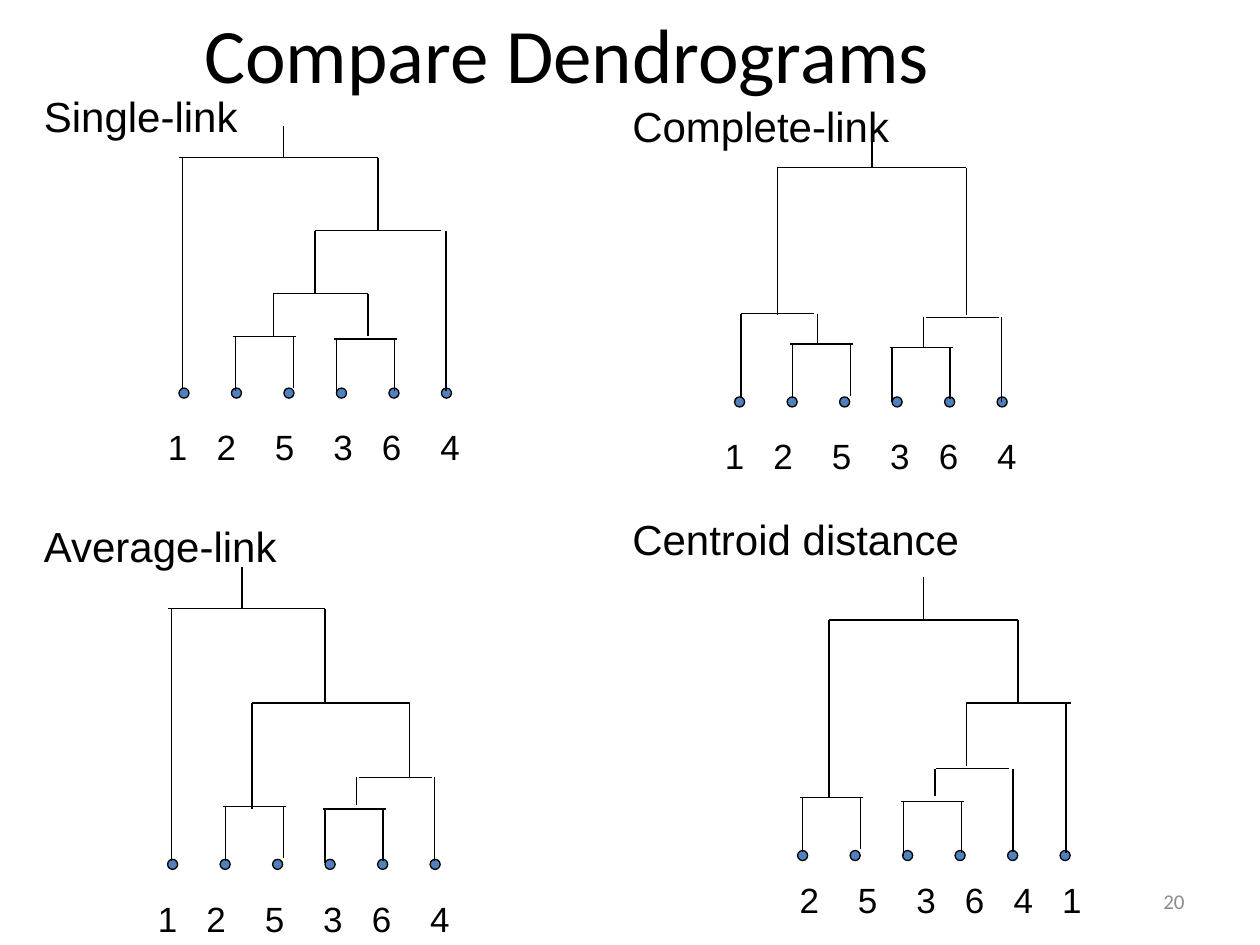
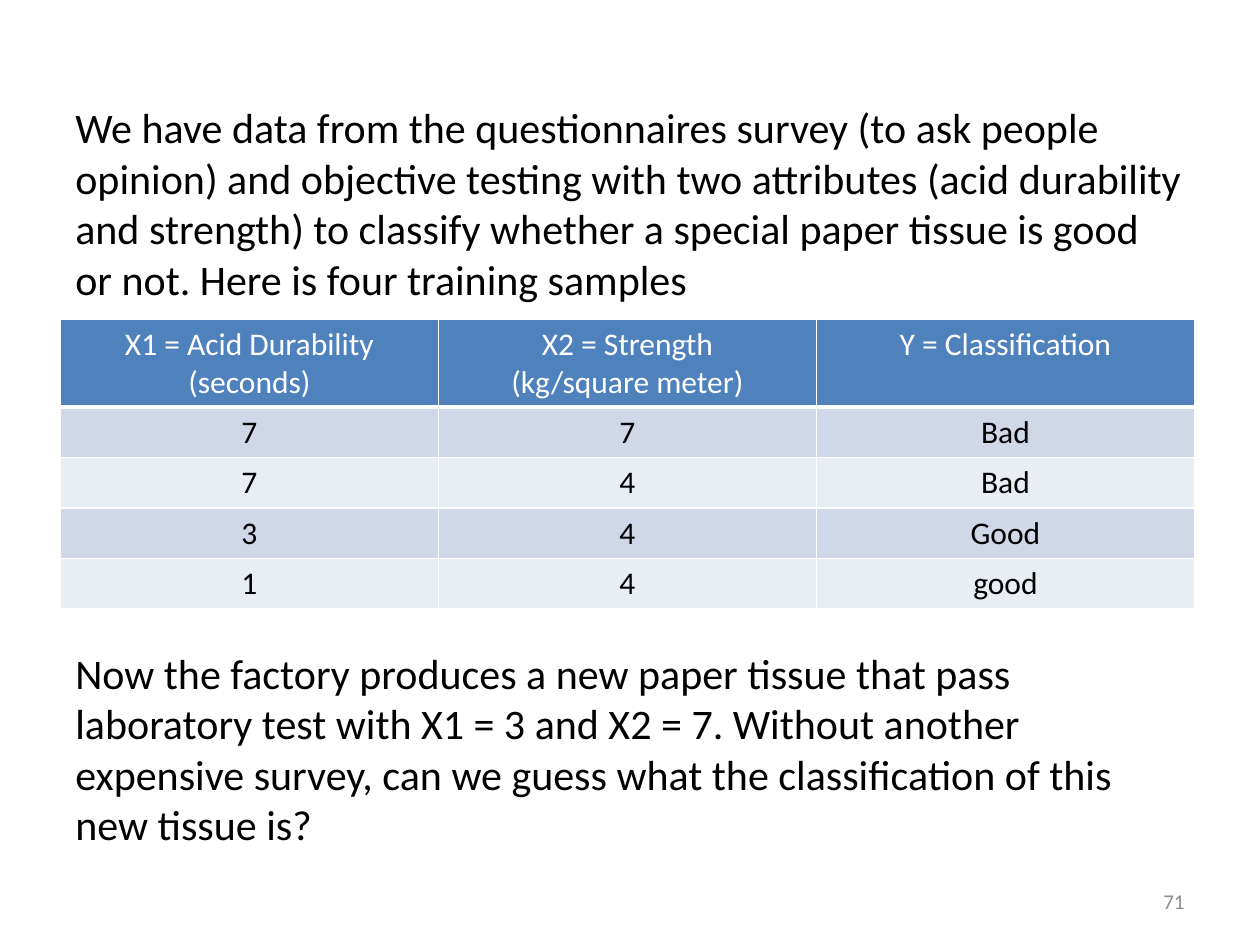
from typing import NamedTuple

from lxml.etree import SubElement
from pptx import Presentation
from pptx.dml.color import RGBColor
from pptx.enum.shapes import MSO_CONNECTOR, MSO_SHAPE
from pptx.enum.text import MSO_ANCHOR, PP_ALIGN
from pptx.oxml.ns import qn
from pptx.util import Inches, Pt

BLACK, WHITE, GREY, BLUE = "000000", "FFFFFF", "8C8C8C", "4F81BD"
BAND_FILLS = ("D0D8E8", "E9EDF4")
LEAF_SIZE, LEAF_STEP = 0.08, 5 / 12
LABEL_UNIT = Pt(5.56)  # width of a 20 pt Arial space


class Merge(NamedTuple):
    """A bar joining two legs; the bar may end beside its legs."""
    bar_y: float
    left: float
    left_foot: float
    right: float
    right_foot: float
    bar_start: float
    bar_end: float


class Dendrogram(NamedTuple):
    heading: str
    heading_at: tuple
    leaves_at: tuple
    labels: str
    labels_at: tuple
    label_columns: tuple
    stem: tuple
    merges: tuple


def pair(left, bar_y):
    """Join two neighbouring leaves."""
    return Merge(bar_y, left, bar_y + 0.43, left + 0.46, bar_y + 0.41, left - 0.02, left + 0.48)


def join(bar_y, left, left_foot, right, right_foot, bar_start=None, bar_end=None):
    return Merge(bar_y, left, left_foot, right, right_foot, bar_start or left, bar_end or right)


LEAF_ORDER = "125364"
LEAF_COLUMNS = (2, 7, 13, 19, 24, 30)
DENDROGRAMS = (
    Dendrogram("Single-link", (0.25, 0.67), (1.42, 3.08),
               LEAF_ORDER, (1.08, 3.33), LEAF_COLUMNS, (2.25, 1),
               (pair(1.87, 2.67), pair(2.67, 2.69),
                join(2.33, 2.17, 2.67, 2.92, 2.67),
                join(1.83, 2.5, 2.33, 3.54, 3.1, bar_end=3.5),
                join(1.25, 1.45, 3.08, 3, 1.83, bar_start=1.42))),
    Dendrogram("Complete-link", (4.92, 0.75), (5.83, 3.15),
               LEAF_ORDER, (5.5, 3.4), LEAF_COLUMNS, (6.92, 0.92),
               (pair(6.29, 2.73), pair(7.08, 2.76),
                join(2.49, 5.88, 3.15, 6.49, 2.74, bar_end=6.46),
                join(2.52, 7.33, 2.75, 7.95, 3.19, 7.35, 7.93),
                join(1.33, 6.17, 2.5, 7.67, 2.5))),
    Dendrogram("Average-link", (0.25, 4.08), (1.33, 6.82),
               LEAF_ORDER, (1, 7.07), LEAF_COLUMNS, (1.92, 4.5),
               (pair(1.79, 6.4), pair(2.58, 6.42),
                join(6.17, 2.83, 6.39, 3.45, 6.83, 2.85, 3.43),
                join(5.58, 2, 6.42, 3.25, 6.17),
                join(4.83, 1.36, 6.83, 2.58, 5.58, bar_start=1.33))),
    Dendrogram("Centroid distance", (4.92, 4.03), (6.33, 6.75),
               "253641", (6.17, 6.92), (1, 7, 13, 18, 23, 28), (7.33, 4.58),
               (pair(6.37, 6.33), pair(7.17, 6.36),
                join(6.1, 7.42, 6.32, 8.04, 6.76, 7.43, 8.01),
                join(5.58, 7.67, 6.08, 8.46, 6.77, bar_end=8.5),
                join(4.92, 6.58, 6.33, 8.08, 5.58))),
)

SAMPLES = (
    ("X1 = Acid Durability (seconds)", "X2 = Strength\n(kg/square meter)", "Y = Classification"),
    ("7", "7", "Bad"),
    ("7", "4", "Bad"),
    ("3", "4", "Good"),
    ("1", "4", "good"),
)
SURVEY = ("We have data from the questionnaires survey (to ask people opinion) and objective "
          "testing with two attributes (acid durability and strength) to classify whether a "
          "special paper tissue is good or not. Here is four training samples")
QUESTION = ("Now the factory produces a new paper tissue that pass laboratory test with X1 = 3 "
            "and X2 = 7. Without another expensive survey, can we guess what the classification "
            "of this new tissue is?")


def color(hex_string):
    return RGBColor.from_string(hex_string)


def write(frame, text, size=24, font="Calibri", ink=BLACK, align=PP_ALIGN.LEFT,
          anchor=MSO_ANCHOR.TOP, tabs=()):
    frame.word_wrap = True
    frame.vertical_anchor = anchor
    frame.text = text
    for paragraph in frame.paragraphs:
        paragraph.alignment = align
        for run in paragraph.runs:
            run.font.size, run.font.name, run.font.bold = Pt(size), font, False
            run.font.color.rgb = color(ink)
        if tabs:
            stops = SubElement(paragraph._p.get_or_add_pPr(), qn("a:tabLst"))
            for position in tabs:
                SubElement(stops, qn("a:tab"), pos=str(int(position)), algn="l")


def border(cell, **widths):
    """Draw white cell edges; keys are L, R, T, B and widths are in points."""
    properties = cell._tc.get_or_add_tcPr()
    for index, (side, width) in enumerate(widths.items()):
        edge = properties.makeelement(qn(f"a:ln{side}"), {"w": str(Pt(width))})
        SubElement(SubElement(edge, qn("a:solidFill")), qn("a:srgbClr"), val=WHITE)
        properties.insert(index, edge)


class Deck:
    def __init__(self):
        self.presentation = Presentation()
        self.presentation.slide_width, self.presentation.slide_height = Inches(10), Inches(7.5)
        self.slide = None

    def new_slide(self, number):
        self.slide = self.presentation.slides.add_slide(self.presentation.slide_layouts[6])
        self.text(str(number), 7.17, 6.95, 2.33, 0.4, size=12, ink=GREY,
                  align=PP_ALIGN.RIGHT, anchor=MSO_ANCHOR.MIDDLE)

    def text(self, text, left, top, width, height, **style):
        box = self.slide.shapes.add_textbox(*map(Inches, (left, top, width, height)))
        write(box.text_frame, text, **style)

    def title(self, text):
        self.text(text, 0.25, 0, 8.5, 0.83, size=44, align=PP_ALIGN.CENTER,
                  anchor=MSO_ANCHOR.MIDDLE)

    def line(self, x1, y1, x2, y2):
        branch = self.slide.shapes.add_connector(
            MSO_CONNECTOR.STRAIGHT, *map(Inches, (x1, y1, x2, y2)))
        branch.line.color.rgb = color(BLACK)
        branch.line.width = Pt(0.75)
        SubElement(branch._element.spPr, qn("a:effectLst"))

    def leaf(self, left, top):
        dot = self.slide.shapes.add_shape(
            MSO_SHAPE.OVAL, *map(Inches, (left, top, LEAF_SIZE, LEAF_SIZE)))
        dot.shadow.inherit = False
        dot.fill.solid()
        dot.fill.fore_color.rgb = color(BLUE)
        dot.line.color.rgb = color(BLACK)
        dot.line.width = Pt(0.75)

    def dendrogram(self, tree):
        left, top = tree.leaves_at
        for index in range(len(tree.labels)):
            self.leaf(left + index * LEAF_STEP, top)
        self.text("".join("\t" + label for label in tree.labels), *tree.labels_at, 2.83, 0.43,
                  size=20, font="Arial", tabs=[LABEL_UNIT * c for c in tree.label_columns])
        for merge in tree.merges:
            self.line(merge.left, merge.left_foot, merge.left, merge.bar_y)
            self.line(merge.bar_start, merge.bar_y, merge.bar_end, merge.bar_y)
            self.line(merge.right, merge.bar_y, merge.right, merge.right_foot)
        stem_x, stem_top = tree.stem
        self.line(stem_x, tree.merges[-1].bar_y, stem_x, stem_top)
        self.text(tree.heading, *tree.heading_at, 3.83, 0.5, font="Arial")

    def table(self, rows, left, top, width, header_height, row_height):
        height = header_height + row_height * (len(rows) - 1)
        grid = self.slide.shapes.add_table(
            len(rows), len(rows[0]), *map(Inches, (left, top, width, height))).table
        for r, values in enumerate(rows):
            header = r == 0
            grid.rows[r].height = Inches(header_height if header else row_height)
            for c, value in enumerate(values):
                cell = grid.cell(r, c)
                write(cell.text_frame, value, size=18, ink=WHITE if header else BLACK,
                      align=PP_ALIGN.CENTER)
                cell.fill.solid()
                cell.fill.fore_color.rgb = color(BLUE if header else BAND_FILLS[(r - 1) % 2])
                border(cell, L=1, R=1, T=1, B=3 if header else 1)


def main():
    deck = Deck()

    deck.new_slide(20)
    deck.title("Compare Dendrograms")
    for tree in DENDROGRAMS:
        deck.dendrogram(tree)

    deck.new_slide(71)
    deck.table(SAMPLES, 0.48, 2.53, 9, header_height=0.7, row_height=0.4)
    deck.text(SURVEY, 0.5, 0.76, 9, 1.72)
    deck.text(QUESTION, 0.5, 5.09, 9, 1.72)

    deck.presentation.save("out.pptx")


if __name__ == "__main__":
    main()
